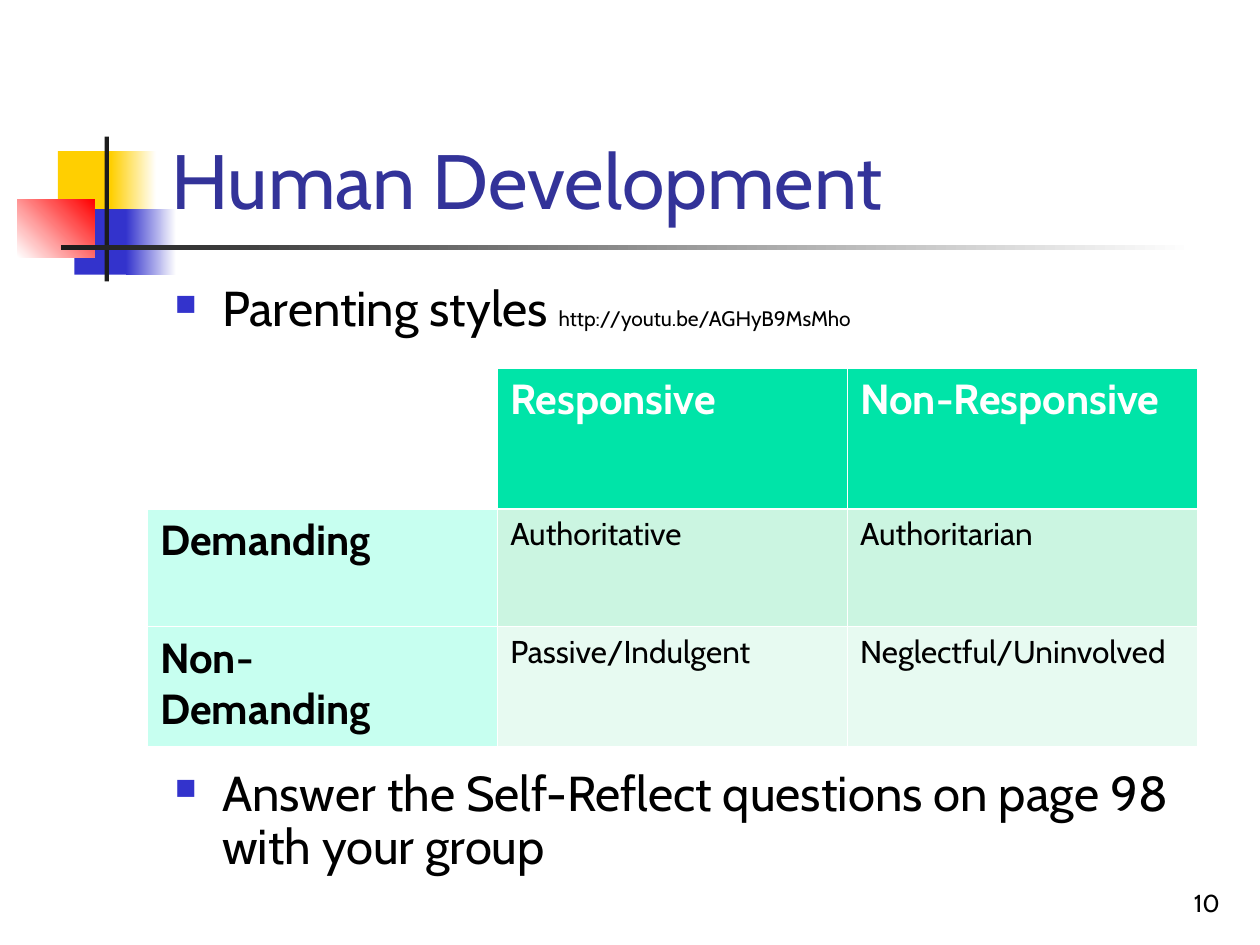
from typing import NamedTuple, Optional

from lxml import etree
from pptx import Presentation
from pptx import util as u
from pptx.dml import color
from pptx.enum import shapes, text
from pptx.oxml import ns

Pt = u.Pt
FONT = "Cabin"
BLACK, WHITE, BLUE = "000000", "FFFFFF", "3333CC"


class Block(NamedTuple):
    left: float
    top: float
    width: float
    height: float
    start: str
    end: Optional[str] = None
    angle: float = 0


class Look(NamedTuple):
    size: float
    bold: bool
    ink: str


class Entry(NamedTuple):
    words: str
    look: Look
    fill: Optional[str]


def rgb(code: str) -> color.RGBColor:
    return color.RGBColor.from_string(code)


def style(font, size: Optional[float], ink: str, bold: bool = False) -> None:
    font.name = FONT
    font.bold = bold
    font.color.rgb = rgb(ink)
    if size:
        font.size = Pt(size)


def add_block(slide, item: Block) -> None:
    box = slide.shapes.add_shape(shapes.MSO_SHAPE.RECTANGLE, *map(Pt, item[:4]))
    box.shadow.inherit = False
    box.line.fill.background()
    if item.end is None:
        box.fill.solid()
        box.fill.fore_color.rgb = rgb(item.start)
        return
    box.fill.gradient()
    box.fill.gradient_angle = item.angle
    for stop, code in zip(box.fill.gradient_stops, (item.start, item.end)):
        stop.color.rgb = rgb(code)


def add_frame(slide, left: float, top: float, width: float, height: float, anchor):
    box = slide.shapes.add_textbox(*map(Pt, (left, top, width, height)))
    frame = box.text_frame
    frame.word_wrap = True
    frame.vertical_anchor = anchor
    return frame


def add_bullet(para, runs: list[tuple[str, float]], gap: float) -> None:
    props = para._p.get_or_add_pPr()
    props.set("marL", str(Pt(27)))
    props.set("indent", str(-Pt(27)))
    tint = etree.SubElement(props, ns.qn("a:buClr"))
    etree.SubElement(tint, ns.qn("a:srgbClr"), val=BLUE)
    etree.SubElement(props, ns.qn("a:buSzPct"), val="60000")
    etree.SubElement(props, ns.qn("a:buChar"), char="■")
    para.line_spacing = 0.9
    para.space_before = Pt(gap)
    same = len(runs) == 1
    style(para.font, runs[0][1] if same else None, BLACK)
    for words, size in runs:
        run = para.add_run()
        run.text = words
        if not same:
            run.font.size = Pt(size)


def add_edge(cell, side: str, width: float) -> None:
    props = cell._tc.get_or_add_tcPr()
    line = etree.SubElement(props, ns.qn(f"a:ln{side}"), w=str(Pt(width)))
    fill = etree.SubElement(line, ns.qn("a:solidFill"))
    etree.SubElement(fill, ns.qn("a:srgbClr"), val=WHITE)


def fill_cell(cell, item: Entry, top: float, base: float) -> None:
    for side, width in (("L", 0.45), ("R", 0.45), ("T", top), ("B", base)):
        add_edge(cell, side, width)
    if item.fill:
        cell.fill.solid()
        cell.fill.fore_color.rgb = rgb(item.fill)
    else:
        cell.fill.background()
    cell.text = item.words
    for para in cell.text_frame.paragraphs:
        style(para.font, item.look.size, item.look.ink, item.look.bold)


HEAD = Look(24, True, WHITE)
SIDE = Look(24, True, BLACK)
BODY = Look(18, False, BLACK)
GREEN, MINT, PALE, FAINT = "00E4A8", "C7FFF0", "CBF5E1", "E7FAF1"

BLOCKS = [
    Block(33.1, 86.4, 34.6, 37.4, "FFCF01"),
    Block(63.4, 86.4, 25.9, 37.4, "FFCF01", WHITE),
    Block(42.5, 119.5, 33.1, 37.4, BLUE),
    Block(72, 119.5, 28.8, 37.4, BLUE, WHITE),
    Block(10, 113.8, 44, 33.1, WHITE, "FF0000", 45),
    Block(59.8, 78, 2.4, 82.8, "1C1C1C"),
    Block(34.6, 140.2, 648, 2.4, "1C1C1C", WHITE),
]
STYLES = [
    [Entry("", HEAD, None), Entry("Responsive", HEAD, GREEN),
     Entry("Non-Responsive", HEAD, GREEN)],
    [Entry("Demanding", SIDE, MINT), Entry("Authoritative", BODY, PALE),
     Entry("Authoritarian", BODY, PALE)],
    [Entry("Non-\vDemanding", SIDE, MINT), Entry("Passive/Indulgent", BODY, FAINT),
     Entry("Neglectful/Uninvolved", BODY, FAINT)],
]
ROWS = [80.6, 67, 68.4]


def main() -> None:
    deck = Presentation()
    deck.slide_width, deck.slide_height = Pt(720), Pt(540)
    slide = deck.slides.add_slide(deck.slide_layouts[6])

    # Corner ornament and rule
    for item in BLOCKS:
        add_block(slide, item)

    # Page number
    para = add_frame(slide, 554.4, 491.8, 149.8, 36, text.MSO_ANCHOR.BOTTOM).paragraphs[0]
    para.text = "10"
    para.alignment = text.PP_ALIGN.RIGHT
    style(para.font, 14, BLACK)

    # Bullets above and below the table
    frame = add_frame(slide, 92.9, 159.1, 612, 357.1, text.MSO_ANCHOR.TOP)
    add_bullet(frame.paragraphs[0],
               [("Parenting styles ", 28), ("http://youtu.be/AGHyB9MsMho", 12)], 0)
    add_bullet(frame.add_paragraph(),
               [("Answer the Self-Reflect questions on page 98 with your group", 28)], 246.5)

    # Table of parenting styles
    grid = slide.shapes.add_table(3, 3, Pt(84.4), Pt(210.3), Pt(600), Pt(sum(ROWS))).table
    grid.first_row = grid.horz_banding = False
    for col in grid.columns:
        col.width = Pt(200)
    for r, (height, row) in enumerate(zip(ROWS, STYLES)):
        grid.rows[r].height = Pt(height)
        top = 1.47 if r == 1 else 0.45
        base = 1.47 if r == 0 else 0.45
        for c, item in enumerate(row):
            fill_cell(grid.cell(r, c), item, top, base)

    # Title
    para = add_frame(slide, 90.7, 16.6, 613.4, 115.2, text.MSO_ANCHOR.BOTTOM).paragraphs[0]
    para.text = "Human Development"
    style(para.font, 44, "333399")

    deck.save("out.pptx")


if __name__ == "__main__":
    main()
